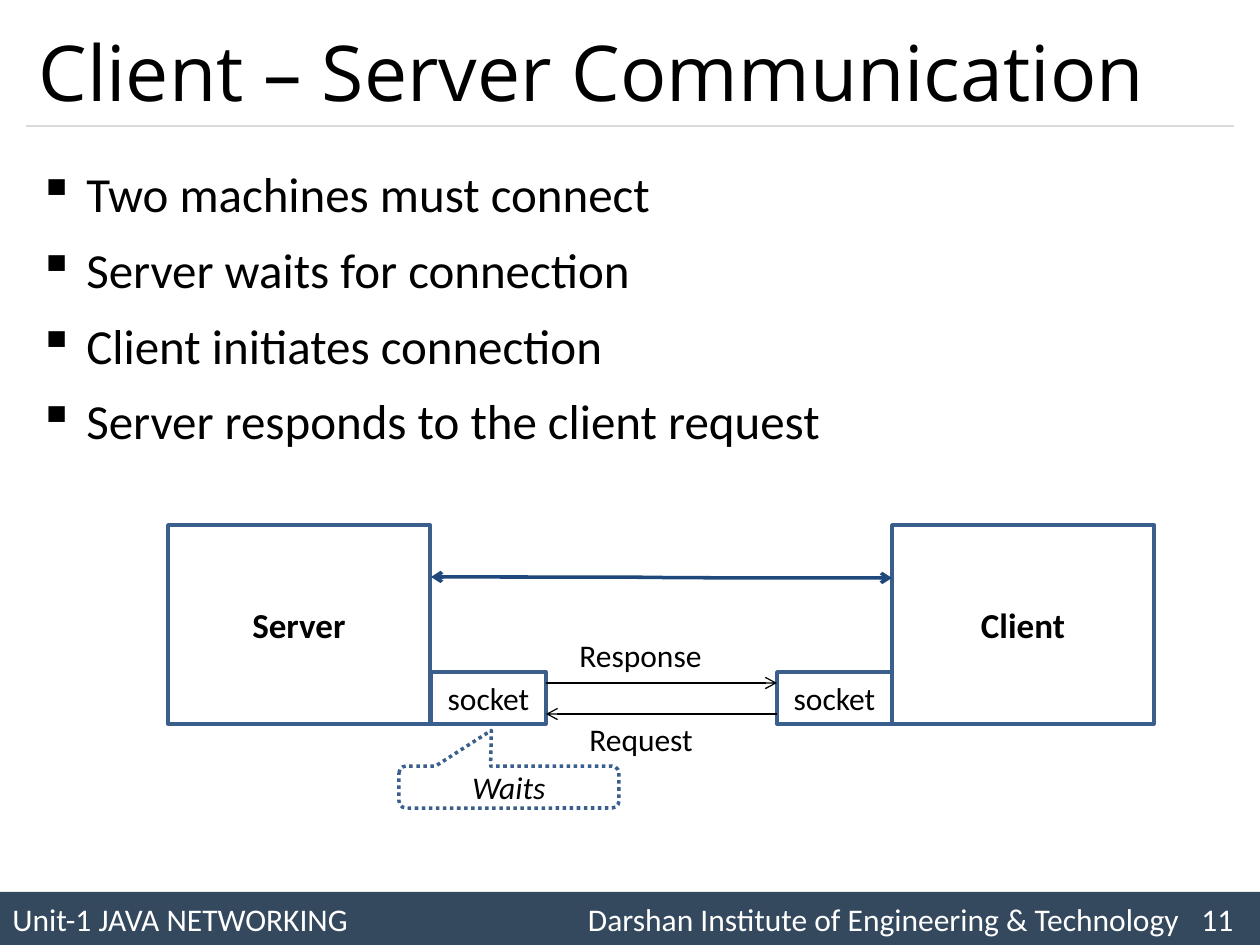
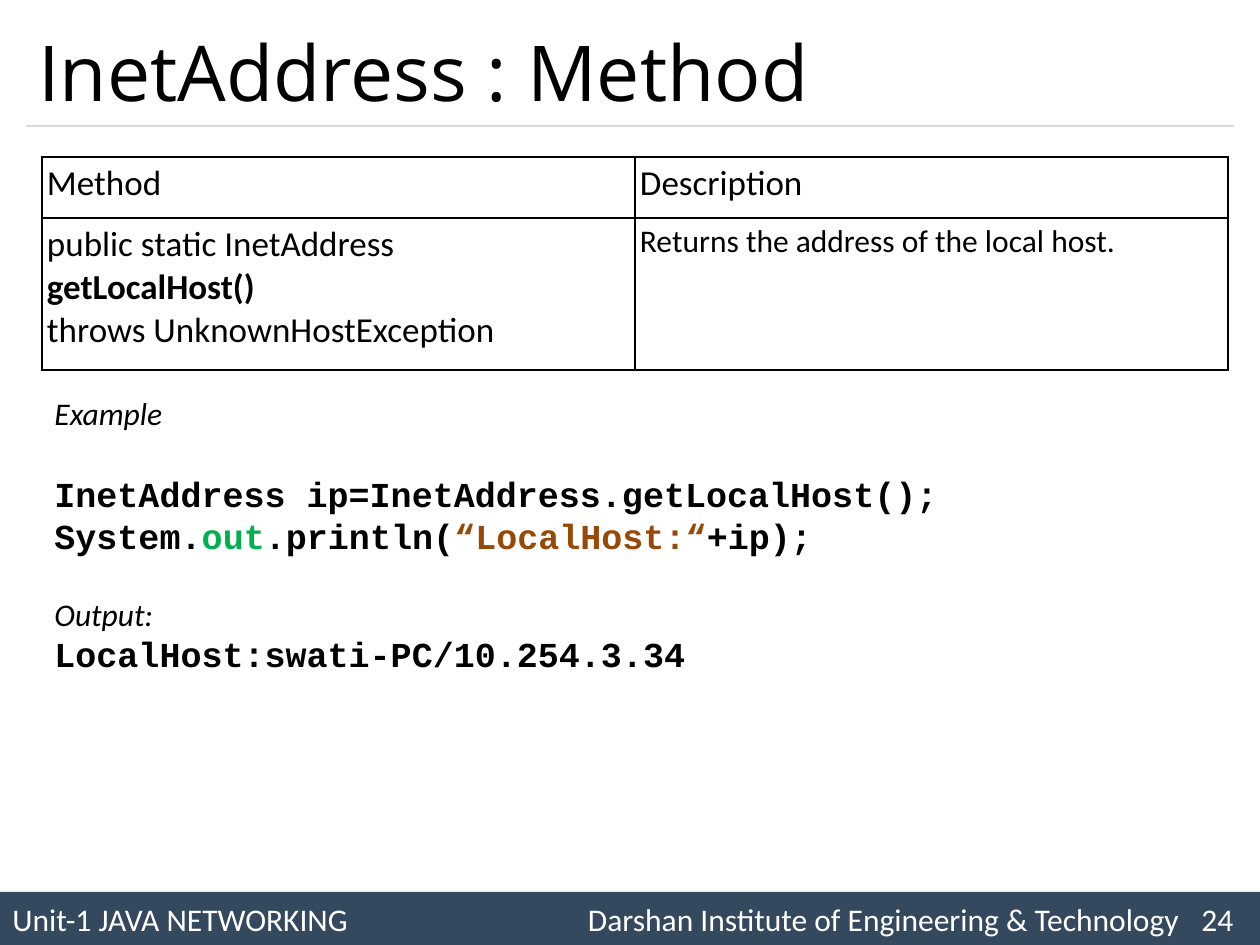
"""Build two networking slides: client-server communication and an InetAddress method."""
import lxml.etree
import pptx
import pptx.dml.color
import pptx.enum.dml
import pptx.enum.shapes
import pptx.enum.text
import pptx.oxml.ns
import pptx.util


class Theme:
    black, white = "000000", "FFFFFF"
    band, rule = "34495E", "D9D9D9"
    outline, link = "3A5F8C", "1F497D"
    field, string = "00B050", "984807"
    heading, body, code = "Open Sans", "Calibri", "Courier New"
    title, bullet, label, small = 44, 28, 20, 18


def px(n):
    return pptx.util.Emu(round(n * 914400 / 126))


def write(p, text, size, color=Theme.black, face=Theme.body, bold=False, italic=False, align="LEFT"):
    if text:
        p.add_run().text = text
    p.alignment = getattr(pptx.enum.text.PP_ALIGN, align)
    p.font.size, p.font.name = pptx.util.Pt(size), face
    p.font.bold, p.font.italic = bold, italic
    p.font.color.rgb = rgb(color)


rgb = pptx.dml.color.RGBColor.from_string
qn = pptx.oxml.ns.qn
sub = lxml.etree.SubElement
MIDDLE = pptx.enum.text.MSO_ANCHOR.MIDDLE
SHAPE = pptx.enum.shapes.MSO_SHAPE
CONNECTOR = pptx.enum.shapes.MSO_CONNECTOR

prs = pptx.Presentation()
prs.slide_width, prs.slide_height = px(1260), px(945)

for title, number in [("Client – Server Communication", 11), ("InetAddress : Method", 24)]:
    s = prs.slides.add_slide(prs.slide_layouts[5])
    sp = s.shapes.title
    sp.left, sp.top, sp.width, sp.height = px(26), px(15), px(1207), px(111)
    tf = sp.text_frame
    tf.auto_size = pptx.enum.text.MSO_AUTO_SIZE.NONE
    tf.vertical_anchor = MIDDLE
    write(tf.paragraphs[0], title, Theme.title, face=Theme.heading)

    rule = s.shapes.add_connector(CONNECTOR.STRAIGHT, px(26), px(126), px(1234), px(126))
    rule.line.color.rgb, rule.line.width = rgb(Theme.rule), pptx.util.Pt(0.75)
    sub(rule._element.spPr, qn("a:effectLst"))

    band = s.shapes.add_shape(SHAPE.RECTANGLE, 0, px(892), px(1260), px(53))
    band.shadow.inherit = False
    band.fill.solid()
    band.fill.fore_color.rgb = rgb(Theme.band)
    band.line.fill.background()
    tf = band.text_frame
    tf.vertical_anchor = MIDDLE
    tf.margin_right = 0
    p = tf.paragraphs[0]
    tabs = sub(p._p.get_or_add_pPr(), qn("a:tabLst"))
    for stop in (1167, 1221):
        sub(tabs, qn("a:tab"), pos=str(px(stop)), algn="r")
    footer = f"Unit-1 JAVA NETWORKING\tDarshan Institute of Engineering & Technology\t{number}"
    write(p, footer, Theme.small, Theme.white)

s = prs.slides[0]
tf = s.shapes.add_textbox(px(26), px(149), px(1207), px(340)).text_frame
tf.word_wrap = True
bullets = [
    "Two machines must connect",
    "Server waits for connection",
    "Client initiates connection",
    "Server responds to the client request",
]
for i, bullet in enumerate(bullets):
    p = tf.add_paragraph() if i else tf.paragraphs[0]
    pPr = p._p.get_or_add_pPr()
    pPr.set("marL", str(px(48)))
    pPr.set("indent", str(-px(48)))
    sub(pPr, qn("a:buChar"), char="▪")
    p.line_spacing = 1.14
    if i:
        p.space_before = pptx.util.Pt(5)
    write(p, bullet, Theme.bullet)

boxes = [
    ("Server", 168, 525, 262, 199, True),
    ("socket", 431, 672, 115, 52, False),
    ("Client", 892, 525, 262, 199, True),
    ("socket", 777, 672, 115, 52, False),
    ("Waits", 399, 766, 220, 42, False),
]
for text, x, y, w, h, is_host in boxes:
    is_callout = text == "Waits"
    kind = SHAPE.ROUNDED_RECTANGULAR_CALLOUT if is_callout else SHAPE.RECTANGLE
    sp = s.shapes.add_shape(kind, px(x), px(y), px(w), px(h))
    sp.shadow.inherit = False
    sp.line.color.rgb, sp.line.width = rgb(Theme.outline), pptx.util.Pt(2)
    if is_callout:
        sp.fill.background()
        sp.line.dash_style = pptx.enum.dml.MSO_LINE.ROUND_DOT
        sp.adjustments[0], sp.adjustments[1] = -0.08, -1.35
    else:
        sp.fill.solid()
        sp.fill.fore_color.rgb = rgb(Theme.white)
    sp.text_frame.vertical_anchor = MIDDLE
    size = Theme.label if is_host else Theme.small
    write(sp.text_frame.paragraphs[0], text, size, bold=is_host, italic=is_callout, align="CENTER")

arrows = [
    (CONNECTOR.STRAIGHT, 546, 683, 777, 683, Theme.black, 0.75, ["tailEnd"]),
    (CONNECTOR.STRAIGHT, 777, 714, 546, 714, Theme.black, 0.75, ["tailEnd"]),
    (CONNECTOR.CURVE, 431, 577, 892, 578, Theme.link, 2, ["headEnd", "tailEnd"]),
]
for kind, x1, y1, x2, y2, color, width, ends in arrows:
    c = s.shapes.add_connector(kind, px(x1), px(y1), px(x2), px(y2))
    c.line.color.rgb, c.line.width = rgb(color), pptx.util.Pt(width)
    spPr = c._element.spPr
    for end in ends:
        sub(spPr.find(qn("a:ln")), qn("a:" + end), type="arrow")
    sub(spPr, qn("a:effectLst"))

for text, x, y in [("Request", 577, 714), ("Response", 567, 630)]:
    tf = s.shapes.add_textbox(px(x), px(y), px(175), px(51)).text_frame
    tf.word_wrap = True
    write(tf.paragraphs[0], text, Theme.small)

s = prs.slides[1]
rows = [
    [["Method"], ["Description"]],
    [
        ["public static InetAddress", "getLocalHost()", "throws UnknownHostException"],
        ["Returns the address of the local host."],
    ],
]
table = s.shapes.add_table(2, 2, px(42), px(157), px(1186), px(213)).table
table.first_row = table.horz_banding = False
for r, height in enumerate((61, 152)):
    table.rows[r].height = px(height)
    for c in range(2):
        table.columns[c].width = px(593)
        cell = table.cell(r, c)
        cell.margin_left = cell.margin_right = cell.margin_top = cell.margin_bottom = px(5)
        for side in "LRTB":
            ln = sub(cell._tc.get_or_add_tcPr(), qn("a:ln" + side), w=str(pptx.util.Pt(1)))
            sub(sub(ln, qn("a:solidFill")), qn("a:srgbClr"), val=Theme.black)
        cell.fill.background()
        for i, text in enumerate(rows[r][c]):
            p = cell.text_frame.add_paragraph() if i else cell.text_frame.paragraphs[0]
            size = Theme.small if r and c else Theme.label
            write(p, text, size, bold=text == "getLocalHost()", align="JUSTIFY" if r else "LEFT")

tf = s.shapes.add_textbox(px(42), px(388), px(1218), px(382)).text_frame
tf.word_wrap = True
println = [
    ("System.", Theme.black),
    ("out", Theme.field),
    (".println(", Theme.black),
    ("“LocalHost:“", Theme.string),
    ("+ip);", Theme.black),
]
example = [
    ("Example", False, 0),
    ("InetAddress ip=InetAddress.getLocalHost();", True, 23),
    (println, True, 0),
    ("Output:", False, 22),
    ("LocalHost:swati-PC/10.254.3.34", True, 0),
]
for i, (text, is_code, gap) in enumerate(example):
    p = tf.add_paragraph() if i else tf.paragraphs[0]
    if gap:
        p.space_before = pptx.util.Pt(gap)
    if text is println:
        for part, color in println:
            r = p.add_run()
            r.text = part
            r.font.color.rgb = rgb(color)
        text = ""
    if is_code:
        p.line_spacing = pptx.util.Pt(24)
        write(p, text, Theme.label, face=Theme.code, bold=True)
    else:
        write(p, text, Theme.small, italic=True)

prs.save("out.pptx")
